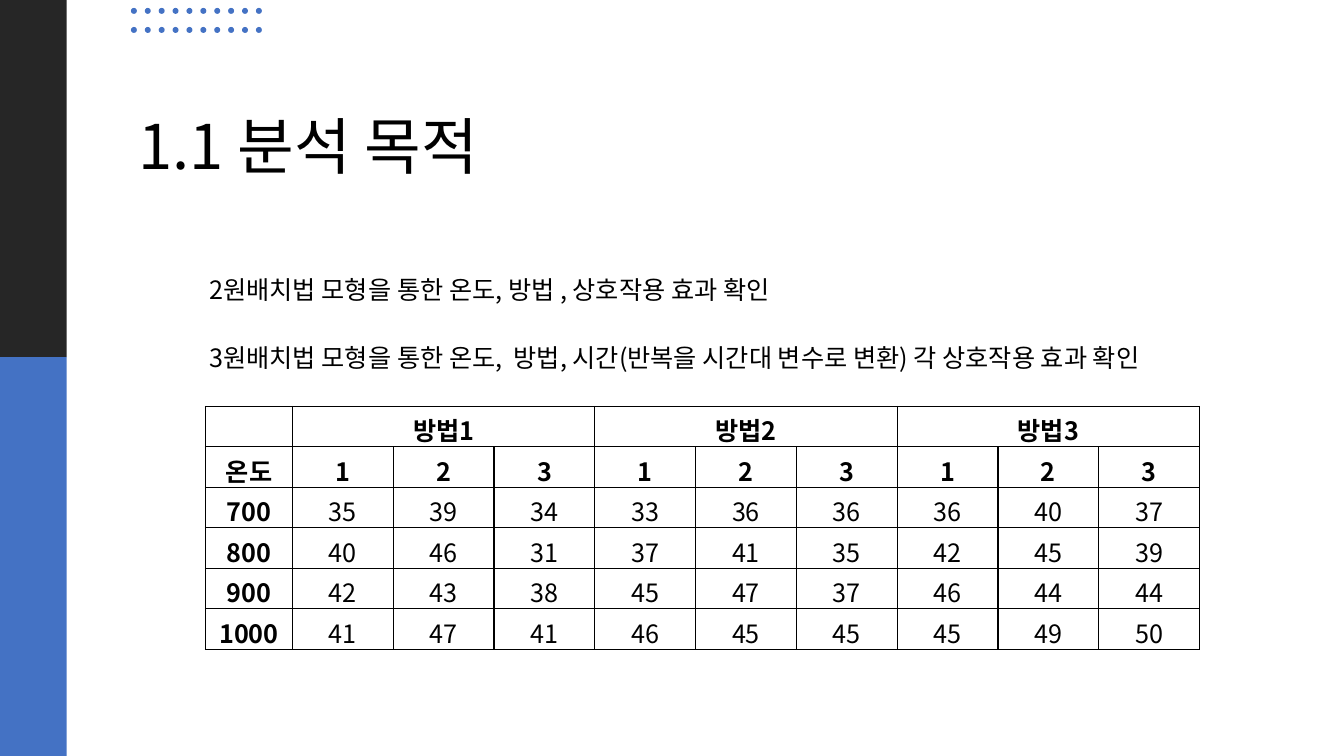
from lxml import etree
from pptx import Presentation
from pptx import util as u
from pptx.dml.color import RGBColor
from pptx.enum import shapes, text
from pptx.oxml.ns import qn

FONT = "Noto Sans CJK KR"
HUES = {"ink": "000000", "dark": "262626", "blue": "4472C4"}

# words, (left, top, width, height) in cm, size in points
TITLE = ("1.1 분석 목적", (3.23, 0.56, 12.83, 4.17), 44)
AIMS = [
    ("2원배치법 모형을 통한 온도, 방법 , 상호작용 효과 확인", (5.03, 6.78, 19.33, 1.02), 18),
    ("3원배치법 모형을 통한 온도,  방법, 시간(반복을 시간대 변수로 변환) 각 상호작용 효과 확인",
     (5.03, 8.51, 26.92, 1.02), 18),
]
BARS = [("dark", (0, 0, 1.68, 9)), ("blue", (0, 9, 1.68, 10.05))]
WAYS = ["방법1", "방법2", "방법3"]
TRIALS = ["1", "2", "3"]
YIELDS = {
    "700": [35, 39, 34, 33, 36, 36, 36, 40, 37],
    "800": [40, 46, 31, 37, 41, 35, 42, 45, 39],
    "900": [42, 43, 38, 45, 47, 37, 46, 44, 44],
    "1000": [41, 47, 41, 46, 45, 45, 45, 49, 50],
}
HEAT_W, COL_W, ROW_H = 2.19, 2.54, 1.02


def place(box):
    return [u.Cm(n) for n in box]


def add_run(para, words, size, bold=False):
    run = para.add_run()
    run.text = words
    font = run.font
    font.name, font.size, font.bold = FONT, u.Pt(size), bold
    font.color.rgb = RGBColor.from_string(HUES["ink"])
    etree.SubElement(font._element, qn("a:ea"), typeface=FONT)


def add_text(slide, words, box, size):
    frame = slide.shapes.add_textbox(*place(box)).text_frame
    frame.word_wrap = True
    add_run(frame.paragraphs[0], words, size)
    return frame


def add_solid(parent, kind, hue, box):
    form = parent.add_shape(kind, *place(box))
    form.shadow.inherit = False
    form.fill.solid()
    form.fill.fore_color.rgb = RGBColor.from_string(HUES[hue])
    form.line.fill.background()


def add_dots(slide):
    group = slide.shapes.add_group_shape().shapes
    for row in range(2):
        for col in range(10):
            box = (3.3 + 0.35 * col, 0.2 + 0.48 * row, 0.15, 0.15)
            add_solid(group, shapes.MSO_SHAPE.OVAL, "blue", box)


def rule_cell(cell):
    """Draw a thin line on all four sides of a cell."""
    props = cell._tc.get_or_add_tcPr()
    for side in "LRTB":
        line = etree.SubElement(props, qn("a:ln" + side), w=str(u.Pt(1)))
        fill = etree.SubElement(line, qn("a:solidFill"))
        etree.SubElement(fill, qn("a:srgbClr"), val=HUES["ink"])


def add_yields(slide):
    heads = [""]
    for way in WAYS:
        heads += [way] + [""] * (len(TRIALS) - 1)
    rows = [heads, ["온도"] + TRIALS * len(WAYS)]
    rows += [[heat] + [str(n) for n in nums] for heat, nums in YIELDS.items()]

    wide = len(heads)
    box = (5.18, 10.24, HEAT_W + COL_W * (wide - 1), ROW_H * len(rows))
    table = slide.shapes.add_table(len(rows), wide, *place(box)).table
    for i, col in enumerate(table.columns):
        col.width = u.Cm(COL_W if i else HEAT_W)
    for r, row in enumerate(rows):
        table.rows[r].height = u.Cm(ROW_H)
        for c, words in enumerate(row):
            cell = table.cell(r, c)
            rule_cell(cell)
            cell.fill.background()
            cell.vertical_anchor = text.MSO_ANCHOR.MIDDLE
            para = cell.text_frame.paragraphs[0]
            para.alignment = text.PP_ALIGN.CENTER
            if words:
                add_run(para, words, 18, bold=r < 2 or c == 0)
    span = len(TRIALS)
    for c in range(1, wide, span):
        table.cell(0, c).merge(table.cell(0, c + span - 1))


def main():
    deck = Presentation()
    deck.slide_width, deck.slide_height = u.Cm(33.87), u.Cm(19.05)
    slide = deck.slides.add_slide(deck.slide_layouts[6])

    title = add_text(slide, *TITLE)
    title.vertical_anchor = text.MSO_ANCHOR.BOTTOM
    title.paragraphs[0].line_spacing = 0.9
    for hue, box in BARS:
        add_solid(slide.shapes, shapes.MSO_SHAPE.RECTANGLE, hue, box)
    add_dots(slide)
    add_yields(slide)
    for aim in AIMS:
        add_text(slide, *aim).auto_size = text.MSO_AUTO_SIZE.SHAPE_TO_FIT_TEXT
    deck.save("out.pptx")


if __name__ == "__main__":
    main()
